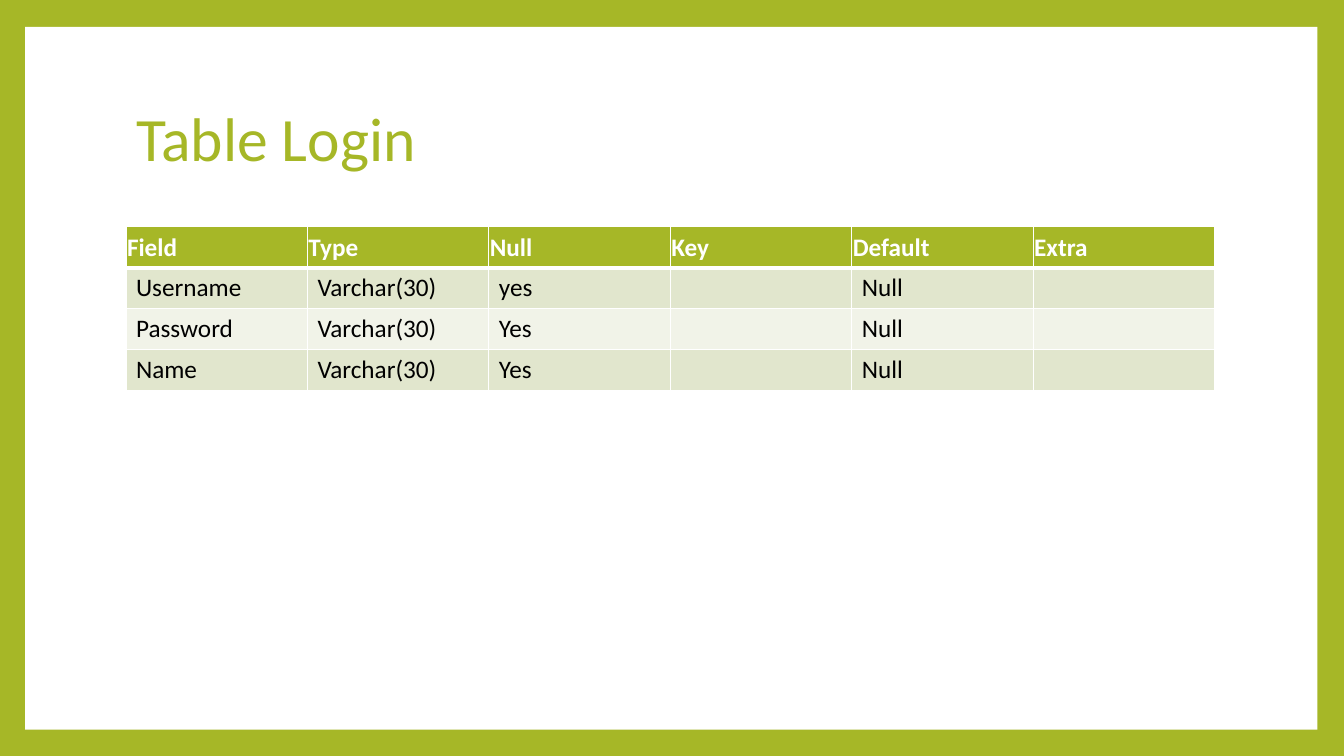
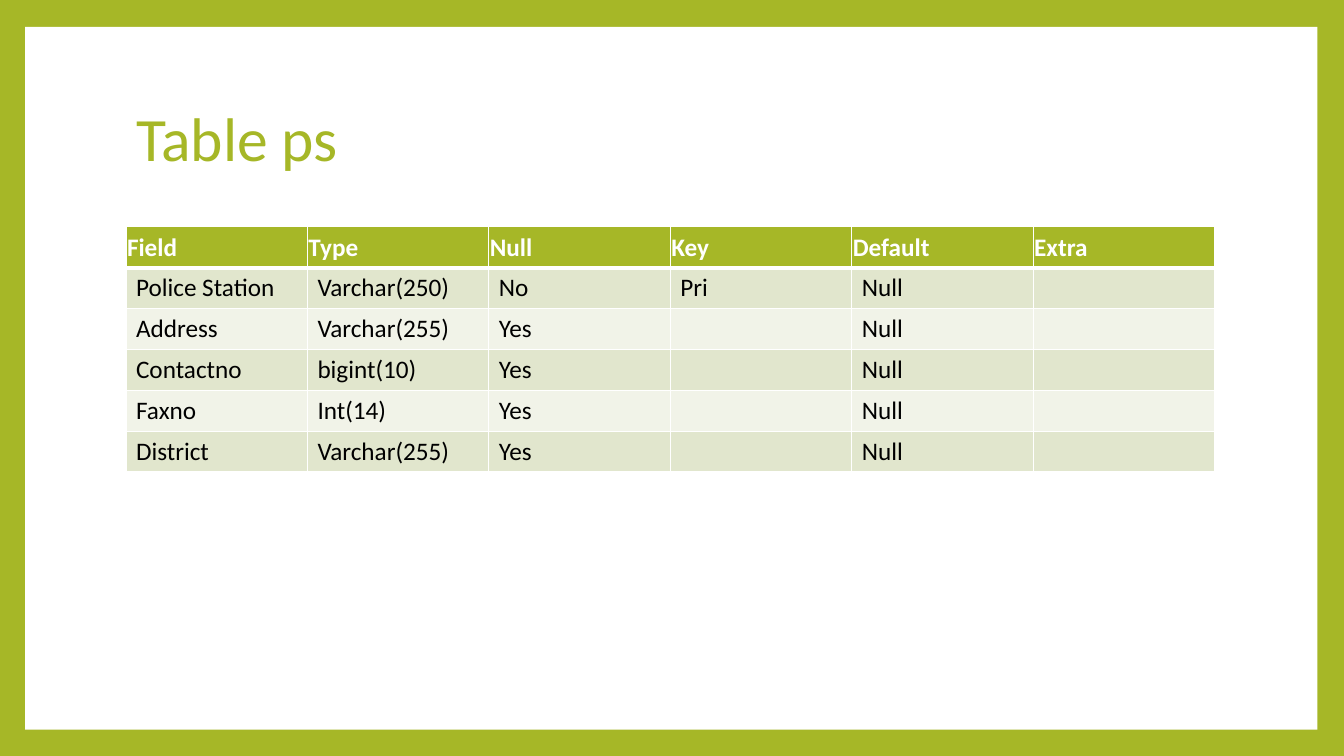
from pptx import Presentation
from pptx.dml.color import RGBColor
from pptx.enum.shapes import MSO_SHAPE
from pptx.enum.text import MSO_ANCHOR, MSO_AUTO_SIZE, PP_ALIGN
from pptx.oxml import parse_xml
from pptx.oxml.ns import nsdecls
from pptx.util import Pt

COLORS = {
    "green": "A6B727",
    "white": "FFFFFF",
    "black": "000000",
    "odd_row": "E1E6CD",
    "even_row": "F1F3E8",
}
FONT = "Calibri"
MARGIN_LEFT, CONTENT_WIDTH = Pt(90), Pt(777.6)
TABLE_TOP, ROW_HEIGHT = Pt(162), Pt(29.2)
HEADINGS = ["Field", "Type", "Null", "Key", "Default", "Extra"]
SCHEMAS = {
    "Table Login": [
        ["Username", "Varchar(30)", "yes", "", "Null", ""],
        ["Password", "Varchar(30)", "Yes", "", "Null", ""],
        ["Name", "Varchar(30)", "Yes", "", "Null", ""],
    ],
    "Table ps": [
        ["Police Station", "Varchar(250)", "No", "Pri", "Null", ""],
        ["Address", "Varchar(255)", "Yes", "", "Null", ""],
        ["Contactno", "bigint(10)", "Yes", "", "Null", ""],
        ["Faxno", "Int(14)", "Yes", "", "Null", ""],
        ["District", "Varchar(255)", "Yes", "", "Null", ""],
    ],
}


def rgb(name):
    """Return the named palette colour."""
    return RGBColor.from_string(COLORS[name])


def fill_solid(fill, color):
    """Give a fill one palette colour."""
    fill.solid()
    fill.fore_color.rgb = rgb(color)


def style_font(font, size, color, bold=False):
    """Set the typeface, size, colour and weight of a font."""
    font.name = FONT
    font.size = Pt(size)
    font.bold = bold
    font.color.rgb = rgb(color)


def style_layout(prs, layout):
    """Set the green frame, white panel and title position on the layout."""
    fill_solid(prs.slide_master.background.fill, "green")
    title = layout.placeholders.get(0)
    title.left, title.top = MARGIN_LEFT, Pt(48)
    title.width, title.height = CONTENT_WIDTH, Pt(106.6)


def move_panel_to_layout(slide, layout):
    """Draw the white panel and place it behind everything on the layout."""
    panel = slide.shapes.add_shape(
        MSO_SHAPE.RECTANGLE, Pt(18), Pt(19.2), Pt(923), Pt(502)
    )
    panel.shadow.inherit = False
    fill_solid(panel.fill, "white")
    panel.line.fill.background()
    layout.shapes.element.insert(2, panel.element)


def set_title(slide, text):
    """Write the slide title in the shared title style."""
    title = slide.shapes.title
    title.text = text
    frame = title.text_frame
    frame.vertical_anchor = MSO_ANCHOR.MIDDLE
    frame.auto_size = MSO_AUTO_SIZE.NONE
    heading = frame.paragraphs[0]
    heading.alignment = PP_ALIGN.LEFT
    heading.line_spacing = 0.9
    style_font(heading.font, 44, "green")


def set_borders(cell, top, bottom):
    """Draw white cell borders, one point wide at the sides."""
    properties = cell._tc.get_or_add_tcPr()
    for side, width in (("L", 1), ("R", 1), ("T", top), ("B", bottom)):
        properties.append(parse_xml(
            f'<a:ln{side} {nsdecls("a")} w="{Pt(width)}"><a:solidFill>'
            f'<a:srgbClr val="{COLORS["white"]}"/></a:solidFill></a:ln{side}>'
        ))


def fill_cell(cell, text, row):
    """Write and format one cell according to its row."""
    is_header = row == 0
    cell.text = text
    set_borders(cell, 3 if row == 1 else 1, 3 if is_header else 1)
    if is_header:
        cell.vertical_anchor = MSO_ANCHOR.MIDDLE
        cell.margin_left = cell.margin_right = cell.margin_top = Pt(0.75)
        cell.margin_bottom = 0
        fill_solid(cell.fill, "green")
    else:
        fill_solid(cell.fill, "odd_row" if row % 2 else "even_row")
    style_font(cell.text_frame.paragraphs[0].font, 18,
               "white" if is_header else "black", is_header)


def add_schema_table(slide, fields):
    """Add a table with the shared headings and one row per field."""
    rows = [HEADINGS, *fields]
    table = slide.shapes.add_table(
        len(rows), len(HEADINGS), MARGIN_LEFT, TABLE_TOP,
        CONTENT_WIDTH, ROW_HEIGHT * len(rows)
    ).table
    for row, values in enumerate(rows):
        for column, text in enumerate(values):
            fill_cell(table.cell(row, column), text, row)


def main():
    """Build one slide per database table."""
    prs = Presentation()
    prs.slide_width, prs.slide_height = Pt(960), Pt(540)
    layout = prs.slide_layouts.get_by_name("Title Only")
    style_layout(prs, layout)
    for name, fields in SCHEMAS.items():
        slide = prs.slides.add_slide(layout)
        set_title(slide, name)
        add_schema_table(slide, fields)
    move_panel_to_layout(prs.slides[0], layout)
    prs.save("out.pptx")


if __name__ == "__main__":
    main()
